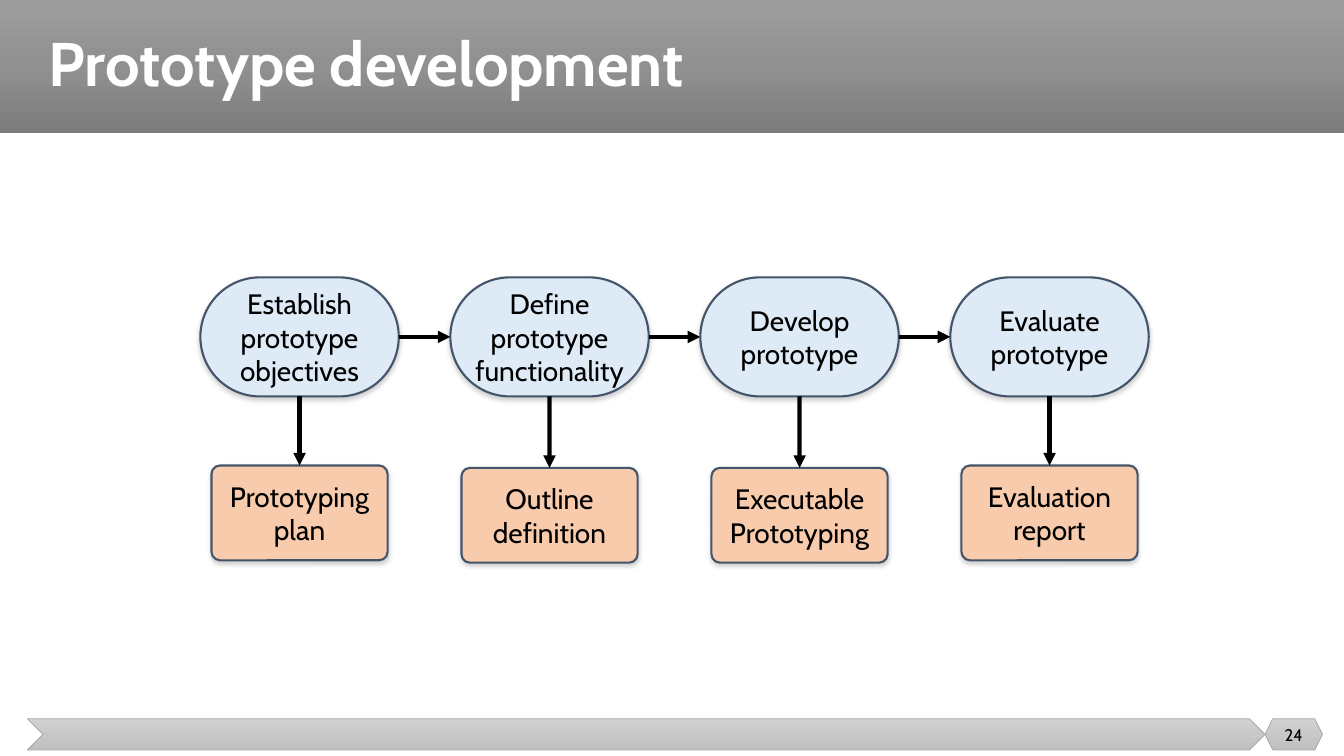
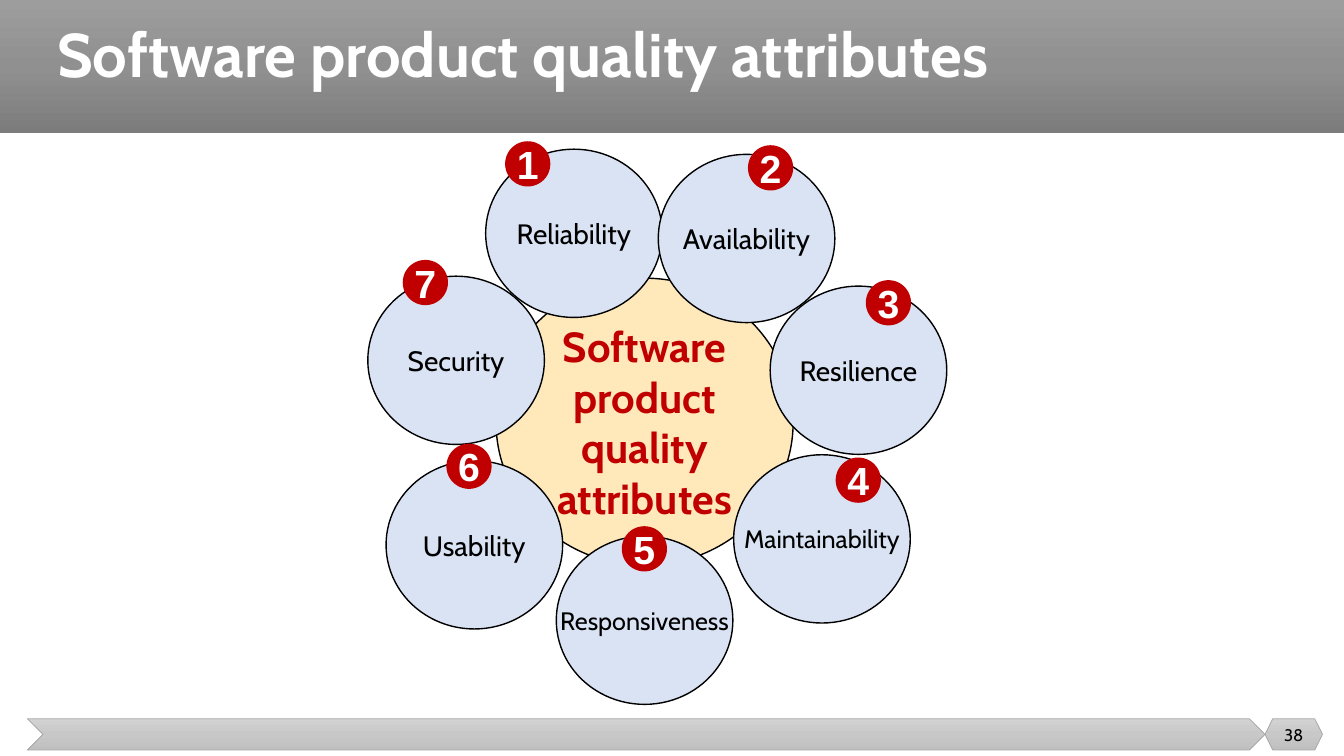
from copy import deepcopy
from itertools import pairwise

from lxml.etree import SubElement as Sub
from pptx import Presentation
from pptx.dml.color import RGBColor as Rgb
from pptx.enum.shapes import MSO_CONNECTOR as Link, MSO_SHAPE as Kind
from pptx.enum.text import MSO_ANCHOR as Anchor, PP_ALIGN as Align
from pptx.oxml.ns import qn
from pptx.util import Cm, Pt

FONT = "Cabin"
HUES = {
    "black": "000000", "white": "FFFFFF", "red": "C00000",
    "slate": "44546A", "gray": "A5A5A5", "shade": "808080",
    "sky": "DEEBF7", "peach": "F8CBAD", "ice": "DAE3F3", "gold": "FFD579",
}
BAND = ("9D9D9D", "909090", "7C7C7C")
FOOT = ("D2D2D2", "C8C8C8", "C0C0C0")

# Top of each output box differs a little along the row
STEPS = [
    ("Establish\vprototype\vobjectives", "Prototyping\vplan", 11.73),
    ("Define\vprototype\vfunctionality", "Outline\vdefinition", 11.79),
    ("Develop\vprototype", "Executable\vPrototyping", 11.79),
    ("Evaluate\vprototype", "Evaluation\vreport", 11.73),
]

# Name, text size, circle left and top, badge left and top
TRAITS = [
    ("Reliability", 20, 12.24, 3.76, 12.73, 3.56),
    ("Availability", 20, 16.59, 3.89, 18.85, 3.66),
    ("Resilience", 20, 19.41, 7.21, 21.82, 7.06),
    ("Maintainability", 18, 18.49, 11.46, 21.06, 11.53),
    ("Responsiveness", 18, 14.02, 13.51, 15.67, 13.26),
    ("Usability", 20, 9.73, 11.61, 11.25, 11.18),
    ("Security", 20, 9.27, 6.96, 10.15, 6.55),
]


def hue(name):
    return Rgb.from_string(HUES[name])


def write(frame, text, size, color="black", bold=False, font=FONT):
    """Fill a text frame with one paragraph in one style."""
    frame.vertical_anchor = Anchor.MIDDLE
    frame.text = text
    para = frame.paragraphs[0]
    para.font.name, para.font.size, para.font.bold = font, Pt(size), bold
    para.font.color.rgb = hue(color)
    return para


def shape(slide, kind, box, fill=None, line=None, width=1):
    item = slide.shapes.add_shape(kind, *map(Cm, box))
    item.shadow.inherit = False
    if fill:
        item.fill.solid()
        item.fill.fore_color.rgb = hue(fill)
    if line:
        item.line.color.rgb = hue(line)
        item.line.width = Pt(width)
    else:
        item.line.fill.background()
    return item


def label(item, text, size, wrap=False, **style):
    """Centre text in a shape without margins."""
    frame = item.text_frame
    frame.margin_left = frame.margin_right = 0
    frame.margin_top = frame.margin_bottom = 0
    frame.word_wrap = wrap
    write(frame, text, size, **style).alignment = Align.CENTER


def blend(item, tones):
    """Fill a shape with three tones from top to bottom."""
    item.fill.gradient()
    item.fill.gradient_angle = 270
    stops = item.element.spPr.find(qn("a:gradFill")).find(qn("a:gsLst"))
    stops.insert(1, deepcopy(stops[0]))
    for stop, place, tone in zip(item.fill.gradient_stops, (0, 0.5, 1), tones):
        stop.position = place
        stop.color.rgb = Rgb.from_string(tone)


def shade(item):
    """Cast a soft shadow straight down."""
    effects = item.element.spPr.find(qn("a:effectLst"))
    cast = Sub(effects, qn("a:outerShdw"), blurRad=str(Pt(3.1)),
               dist=str(Pt(1.8)), dir="5400000", rotWithShape="0")
    color = Sub(cast, qn("a:srgbClr"), val=HUES["shade"])
    Sub(color, qn("a:alpha"), val="35000")


def card(slide, box, text, fill, bend):
    item = shape(slide, Kind.ROUNDED_RECTANGLE, box, fill, "slate", 1.5)
    item.adjustments[0] = bend
    shade(item)
    label(item, text, 20)
    return item


def arrow(slide, start, out, end, into):
    """Join side out of start to side into of end."""
    link = slide.shapes.add_connector(Link.STRAIGHT, 0, 0, 0, 0)
    link.begin_connect(start, out)
    link.end_connect(end, into)
    link.line.color.rgb = hue("black")
    link.line.width = Pt(3)
    Sub(link.line._get_or_add_ln(), qn("a:tailEnd"), type="triangle")
    Sub(link.element.spPr, qn("a:effectLst"))


def page(deck, title, box, number):
    """Add a slide with its title band and numbered footer."""
    slide = deck.slides.add_slide(deck.slide_layouts[6])
    blend(shape(slide, Kind.RECTANGLE, (0, 0, 33.87, 3.35)), BAND)
    bar = shape(slide, Kind.CHEVRON, (0.69, 18.11, 31.19, 0.79),
                line="gray", width=0.5)
    tab = shape(slide, Kind.HEXAGON, (31.88, 18.11, 1.45, 0.79),
                line="gray", width=0.5)
    for item in (bar, tab):
        blend(item, FOOT)
    label(tab, str(number), 12)
    frame = slide.shapes.add_textbox(*map(Cm, box)).text_frame
    frame.word_wrap = True
    write(frame, title, 44, "white", True).line_spacing = 0.9
    return slide


def flow(deck):
    slide = page(deck, "Prototype development", (0.97, 0, 32.36, 3.35), 24)
    # Row of steps with their outputs below
    steps, outs = [], []
    for i, (step, out, top) in enumerate(STEPS):
        left = 5.05 + 6.3 * i
        steps.append(card(slide, (left, 6.99, 5, 3), step, "sky", 0.5))
        outs.append(card(slide, (left + 0.28, top, 4.44, 2.39),
                         out, "peach", 0.09))
    # Arrows along the row, then down
    for start, end in pairwise(steps):
        arrow(slide, start, 3, end, 1)
    for step, out in zip(steps, outs):
        arrow(slide, step, 2, out, 0)


def wheel(deck):
    slide = page(deck, "Software product quality attributes",
                 (1.19, 0.13, 27.97, 2.64), 38)
    # Half-transparent hub
    hub = shape(slide, Kind.OVAL, (12.5, 7.01, 7.49, 7.24), "gold", "black")
    tint = hub.element.spPr.find(qn("a:solidFill"))[0]
    Sub(tint, qn("a:alpha"), val="50000")
    label(hub, "Software product quality attributes", 30, wrap=True,
          color="red", bold=True)
    # Circles around it
    for name, size, left, top, *_ in TRAITS:
        ring = shape(slide, Kind.OVAL, (left, top, 4.45, 4.24), "ice", "black")
        label(ring, name, size)
    # Numbered badges
    for i, (*_, left, top) in enumerate(TRAITS, 1):
        badge = shape(slide, Kind.OVAL, (left, top, 1.14, 1.14), "red")
        label(badge, str(i), 28, color="white", bold=True, font="Arial")


def main():
    deck = Presentation()
    deck.slide_width, deck.slide_height = Cm(33.87), Cm(19.05)
    flow(deck)
    wheel(deck)
    deck.save("out.pptx")


if __name__ == "__main__":
    main()
